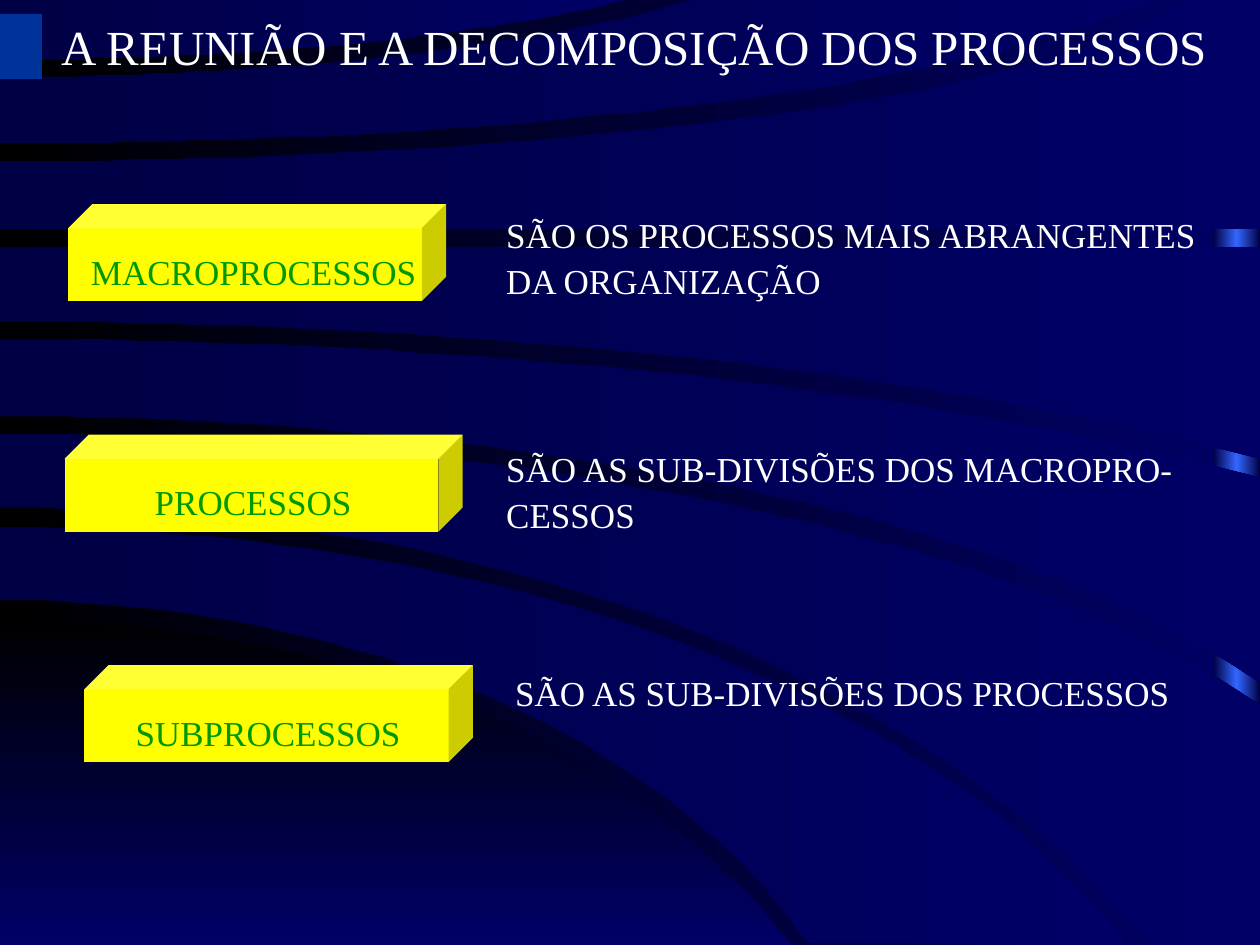
"""Build the slide on joining and splitting processes, over a field of elliptical bands."""
from copy import deepcopy
from math import sqrt

from pptx import Presentation
from pptx.dml.color import RGBColor
from pptx.enum.shapes import MSO_SHAPE
from pptx.enum.text import PP_ALIGN
from pptx.oxml.ns import qn
from pptx.util import Pt

RECTANGLE, CUBE = MSO_SHAPE.RECTANGLE, MSO_SHAPE.CUBE
LEFT, CENTER = PP_ALIGN.LEFT, PP_ALIGN.CENTER

THEME = {
    "font": "Times New Roman",
    "title_size": 28,
    "body_size": 20,
    "black": RGBColor.from_string("000000"),
    "navy": RGBColor.from_string("000066"),
    "deep": RGBColor.from_string("000044"),
    "glow": RGBColor.from_string("3366FF"),
    "marker": RGBColor.from_string("003399"),
    "cube": RGBColor.from_string("FFFF00"),
    "label": RGBColor.from_string("009900"),
    "text": RGBColor.from_string("FFFFFF"),
}
WIDTH, HEIGHT = 720, 540


def set_gradient(fill, start, end, angle=0):
    """Fill with a two-colour linear gradient."""
    fill.gradient()
    fill.gradient_angle = angle
    for stop, color, position in zip(fill.gradient_stops, (start, end), (0, 1)):
        stop.color.rgb = THEME[color]
        stop.position = position


def add_text(text, box, size, color, alignment, line_spacing):
    """Add one paragraph of wrapped text."""
    frame = slide.shapes.add_textbox(*map(Pt, box)).text_frame
    frame.word_wrap = True
    paragraph = frame.paragraphs[0]
    paragraph.text = text
    paragraph_format = {
        "alignment": alignment,
        "line_spacing": line_spacing,
        "space_before": Pt(0.15 * THEME[size]),
    }
    for name, value in paragraph_format.items():
        setattr(paragraph, name, value)
    for run in paragraph.runs:
        for name, value in {"name": THEME["font"], "size": Pt(THEME[size])}.items():
            setattr(run.font, name, value)
        run.font.color.rgb = THEME[color]


presentation = Presentation()
presentation.slide_width, presentation.slide_height = Pt(WIDTH), Pt(HEIGHT)
slide = presentation.slides.add_slide(presentation.slide_layouts[6])
set_gradient(slide.background.fill, "black", "navy")

strip = slide.shapes.add_shape(RECTANGLE, Pt(693.4), Pt(0), Pt(26.6), Pt(HEIGHT))
strip.shadow.inherit = False
strip.line.fill.background()
set_gradient(strip.fill, "deep", "deep")
stop_list = strip.element.spPr.find(".//" + qn("a:gsLst"))
stop_list.insert(1, deepcopy(stop_list[0]))
middle_stop = strip.fill.gradient_stops[1]
middle_stop.position = 0.5
middle_stop.color.rgb = THEME["glow"]

ARC_STEPS = 36
# Each arc: start height, horizontal radius, vertical radius, last x.
bands = [
    ((354, 505, 336, 452), (HEIGHT, WIDTH, 0, 452)),
    ((301, 702, 397, 643), (343, 507, 333, 462)),
    ((248, 805, 280, WIDTH), (290, 720, 428, WIDTH)),
    ((194, 989, 251, WIDTH), (238, 805, 275, WIDTH)),
    ((141, WIDTH, 0, WIDTH), (184, 971, 237, WIDTH)),
    ((92, 686, -113, WIDTH), (131, WIDTH, 0, WIDTH)),
    ((44, 496, -110, 400), (82, 698, -124, 660)),
    ((-1, WIDTH, 0, 361), (34, 466, -95, 361)),
]
for index, band in enumerate(bands):
    edges = []
    for start, radius_x, radius_y, last_x in band:
        edge = []
        for step in range(ARC_STEPS + 1):
            x = last_x * step / ARC_STEPS
            drop = 1 - sqrt(max(0, 1 - (x / radius_x) ** 2))
            edge.append((x, min(HEIGHT, max(-1, start + radius_y * drop))))
        edges.append(edge)
    upper, lower = edges
    builder = slide.shapes.build_freeform(*upper[0], scale=Pt(1))
    builder.add_line_segments(upper[1:] + lower[::-1], close=True)
    curve = builder.convert_to_shape()
    curve.shadow.inherit = False
    curve.line.fill.background()
    set_gradient(curve.fill, "deep" if index else "black", "navy", 0 if index else 270)

ROW_TOP, ROW_STEP, CUBE_HEIGHT = 116.64, 131.76, 55.4
rows = [
    ("MACROPROCESSOS", 38.9, 216, 6, LEFT,
     "SÃO OS PROCESSOS MAIS ABRANGENTES\nDA ORGANIZAÇÃO", (282.2, 115.9, 415.4, 60.5)),
    ("PROCESSOS", 36.9, 227.5, -6, CENTER,
     "SÃO AS SUB-DIVISÕES DOS MACROPRO-\nCESSOS", (282.2, 249.8, 437.8, 60.5)),
    ("SUBPROCESSOS", 48.2, 222, -6, CENTER,
     "SÃO AS SUB-DIVISÕES DOS PROCESSOS", (287.3, 378, 407.5, 33.8)),
]
solids = [(RECTANGLE, (0, 7.9, 24, 37.4), "marker")]
for index, (label, left, width, *rest) in enumerate(rows):
    solids.append((CUBE, (left, ROW_TOP + index * ROW_STEP, width, CUBE_HEIGHT), "cube"))
for kind, box, color in solids:
    solid = slide.shapes.add_shape(kind, *map(Pt, box))
    solid.shadow.inherit = False
    solid.line.fill.background()
    solid.fill.solid()
    solid.fill.fore_color.rgb = THEME[color]

add_text(" A REUNIÃO E A DECOMPOSIÇÃO DOS PROCESSOS", (10.8, 5.8, 697.7, 41),
         "title_size", "text", CENTER, 1.0)
for index, (label, left, width, shift, alignment, description, box) in enumerate(rows):
    label_box = (left + shift, ROW_TOP + index * ROW_STEP + 15.5, width, 36)
    add_text(label, label_box, "body_size", "label", alignment, 1.3)
    add_text(description, box, "body_size", "text", LEFT, 1.1)

presentation.save("out.pptx")
